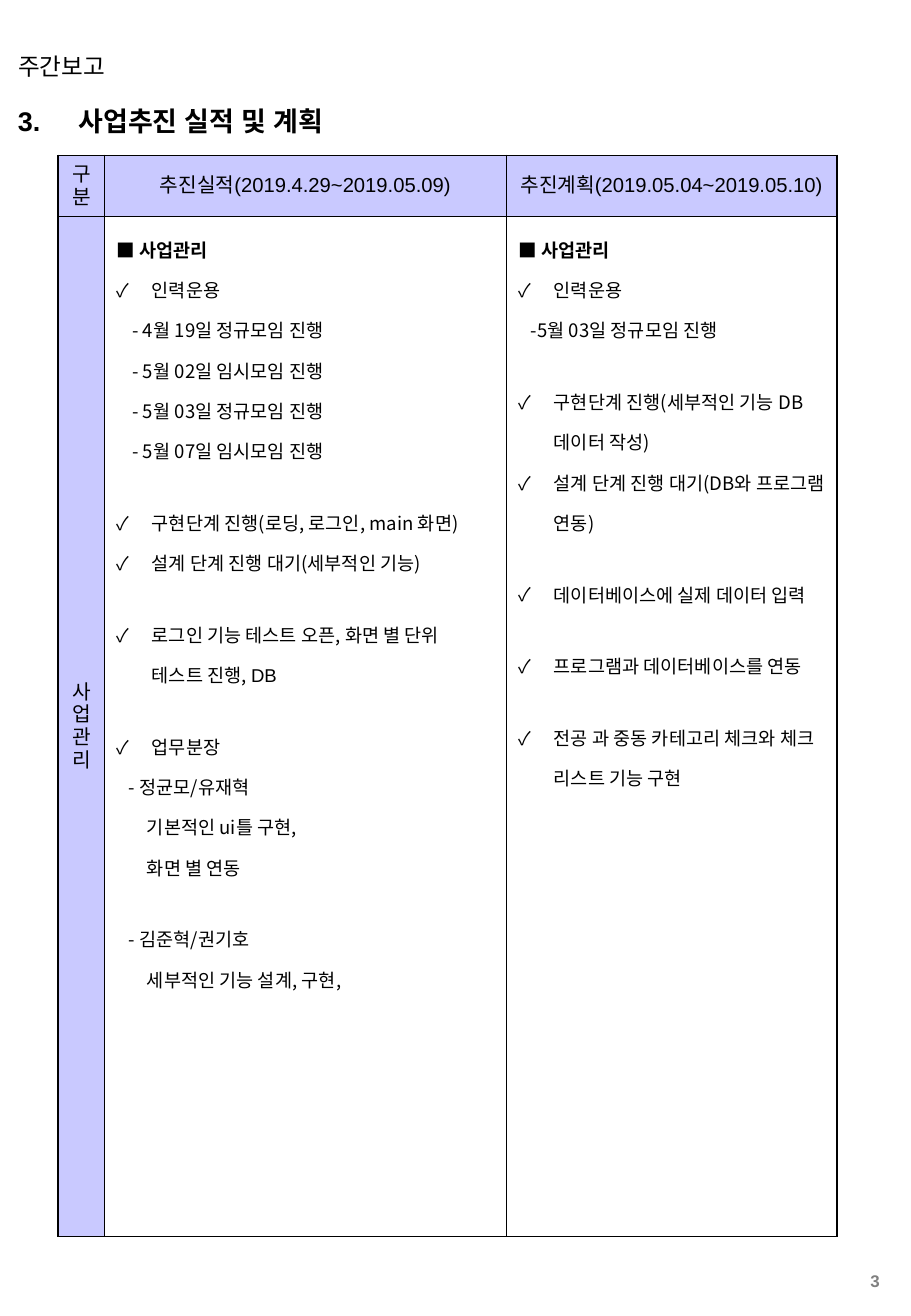
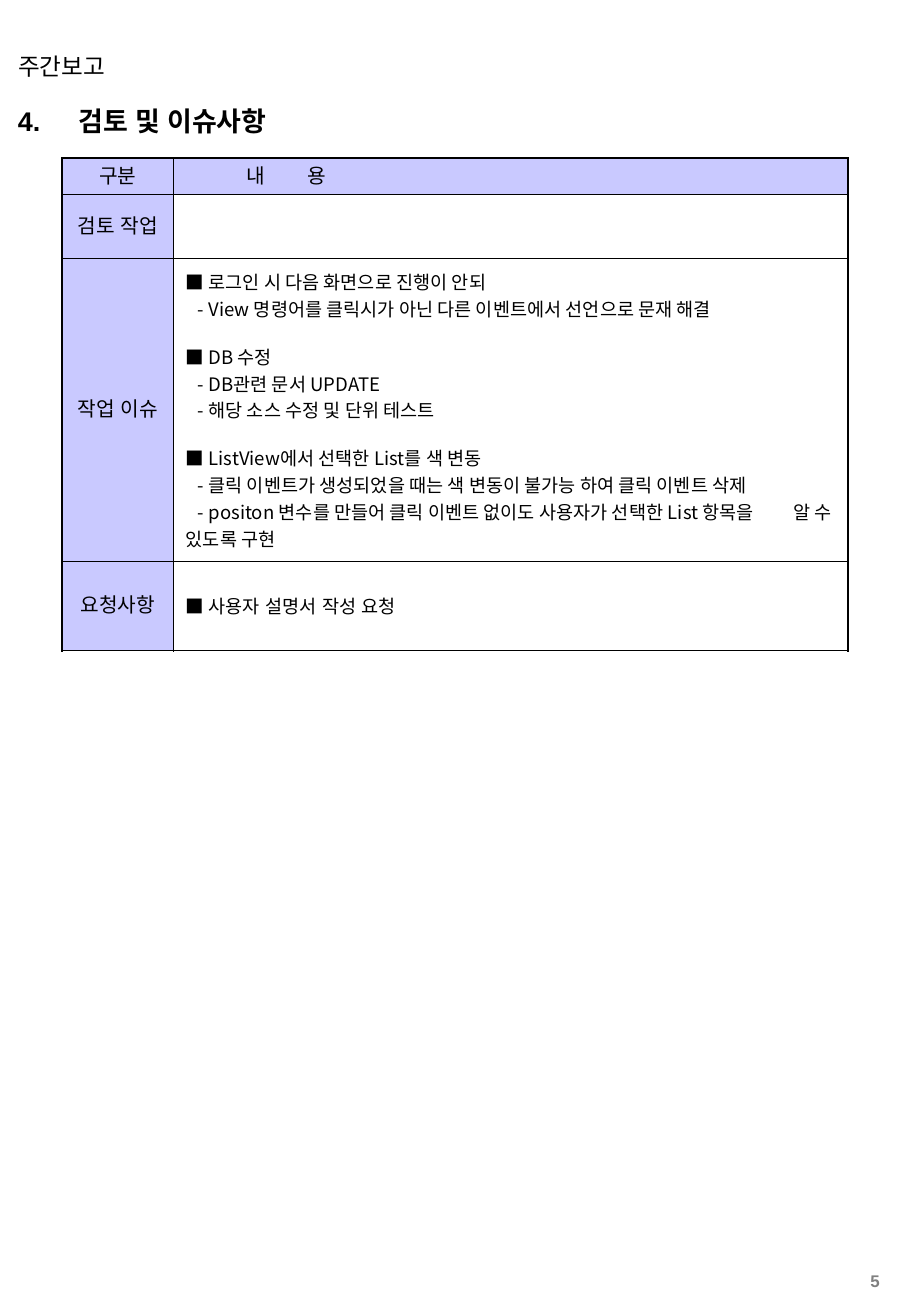
from dataclasses import dataclass
from typing import Any

from lxml.etree import SubElement
from pptx import Presentation
from pptx.dml.color import RGBColor
from pptx.enum.text import MSO_ANCHOR, PP_ALIGN
from pptx.oxml.ns import qn
from pptx.util import Inches, Pt

COLORS = {"ink": "000000", "header": "C9C9FF", "paper": "FFFFFF", "number": "808080"}
ARIAL = "Arial"
NOTO = "Noto Sans CJK KR"
THICK, THIN = 1.08, 0.45


@dataclass(frozen=True)
class Style:
    size: float
    font: str = ARIAL
    color: str = "ink"
    bold: bool = False
    align: Any = PP_ALIGN.LEFT
    line_spacing: float = 1.0


@dataclass(frozen=True)
class Line:
    text: str
    left: float = 0
    first: float = 0
    gap: float = 0
    check: bool = False
    bold: bool = False
    tail: str = ""
    tabs: tuple[float, ...] = ()


@dataclass(frozen=True)
class Cell:
    lines: tuple[Line, ...]
    style: Style
    fill: str = "paper"
    anchor: Any = MSO_ANCHOR.MIDDLE


@dataclass(frozen=True)
class Grid:
    left: float
    top: float
    columns: tuple[float, ...]
    rows: tuple[float, ...]
    cells: tuple[tuple[Cell, ...], ...]
    bottom_border: float


@dataclass(frozen=True)
class Report:
    title: str
    title_tab: float
    number: str
    grid: Grid


RUNNING_HEAD = Style(14)
TITLE = Style(16, bold=True)
PAGE_NUMBER = Style(10, color="number", bold=True, align=PP_ALIGN.RIGHT)
LABEL = Style(12, align=PP_ALIGN.CENTER)
SPACED_LABEL = Style(12)
PLAN = Style(11, NOTO, line_spacing=1.5)
ISSUE = Style(11, NOTO)
PLAN_GAP, ISSUE_GAP = 18.5, 12.5


def label(*texts: str) -> Cell:
    return Cell(tuple(Line(text) for text in texts), LABEL, "header")


def plan(*lines: Line) -> Cell:
    return Cell(lines, PLAN, anchor=MSO_ANCHOR.TOP)


def issues(*lines: Line) -> Cell:
    return Cell(lines, ISSUE)


def heading(text: str) -> Line:
    return Line(text, bold=True)


def check(text: str, gap: float = 0, tail: str = "") -> Line:
    return Line(text, 0.29, -0.29, gap, check=True, tail=tail)


def detail(text: str, left: float = 0.13, gap: float = 0) -> Line:
    return Line(text, left, gap=gap)


def dash(text: str, tabs: tuple[float, ...] = ()) -> Line:
    return Line(text, first=0.1, tabs=tabs)


def apply(target: Any, values: dict[str, Any]) -> None:
    for name, value in values.items():
        setattr(target, name, value)


def add_span(para: Any, text: str, style: Style, font: str, bold: bool) -> None:
    span = para.add_run()
    span.text = text
    apply(span.font, {"size": Pt(style.size), "name": font, "bold": bold})
    span.font.color.rgb = RGBColor.from_string(COLORS[style.color])
    SubElement(span.font._element, qn("a:ea"), typeface=font)


def write_line(para: Any, line: Line, style: Style) -> None:
    properties = para._p.get_or_add_pPr()
    properties.set("marL", str(Inches(line.left)))
    properties.set("indent", str(Inches(line.first)))
    if line.check:
        color = SubElement(properties, qn("a:buClr"))
        SubElement(color, qn("a:srgbClr"), val=COLORS["ink"])
        SubElement(properties, qn("a:buFont"), typeface=NOTO)
        SubElement(properties, qn("a:buChar"), char="✓")
    if line.tabs:
        stops = SubElement(properties, qn("a:tabLst"))
        for position in line.tabs:
            SubElement(stops, qn("a:tab"), pos=str(Inches(position)), algn="l")
    apply(para, {"alignment": style.align, "line_spacing": style.line_spacing})
    if line.gap:
        para.space_before = Pt(line.gap)
    bold = style.bold or line.bold
    add_span(para, line.text, style, style.font, bold)
    if line.tail:
        add_span(para, line.tail, style, ARIAL, bold)


def write_lines(frame: Any, lines: tuple[Line, ...], style: Style) -> None:
    for index, line in enumerate(lines):
        para = frame.add_paragraph() if index else frame.paragraphs[0]
        write_line(para, line, style)


def add_text(page: Any, place: tuple[float, ...], line: Line, style: Style) -> None:
    box = page.shapes.add_textbox(*(Inches(length) for length in place))
    box.text_frame.word_wrap = True
    write_lines(box.text_frame, (line,), style)


def add_border(cell: Any, side: str, width: float) -> None:
    border = SubElement(cell._tc.get_or_add_tcPr(), qn(f"a:ln{side}"), w=str(Pt(width)))
    fill = SubElement(border, qn("a:solidFill"))
    SubElement(fill, qn("a:srgbClr"), val=COLORS["ink"])


def add_grid(page: Any, grid: Grid) -> None:
    last_row, last_column = len(grid.rows) - 1, len(grid.columns) - 1
    frame = page.shapes.add_table(
        last_row + 1, last_column + 1, Inches(grid.left), Inches(grid.top),
        Inches(sum(grid.columns)), Inches(sum(grid.rows)))
    table = frame.table
    apply(table, {"first_row": False, "horz_banding": False})
    for column, width in zip(table.columns, grid.columns):
        column.width = Inches(width)
    for row, height in zip(table.rows, grid.rows):
        row.height = Inches(height)
    for r, contents in enumerate(grid.cells):
        for c, content in enumerate(contents):
            cell = table.cell(r, c)
            borders = {
                "L": THIN if c else THICK,
                "R": THICK if c == last_column else THIN,
                "T": THIN if r else THICK,
                "B": grid.bottom_border if r == last_row else THIN,
            }
            for side, width in borders.items():
                add_border(cell, side, width)
            cell.fill.solid()
            cell.fill.fore_color.rgb = RGBColor.from_string(COLORS[content.fill])
            cell.vertical_anchor = content.anchor
            write_lines(cell.text_frame, content.lines, content.style)


def add_report(deck: Any, report: Report) -> None:
    page = deck.slides.add_slide(deck.slide_layouts[6])
    add_text(page, (6.78, 10.42, 0.56, 0.24), Line(report.number), PAGE_NUMBER)
    add_text(page, (0.05, 0.38, 5.95, 0.34), Line("주간보고"), RUNNING_HEAD)
    add_grid(page, report.grid)
    title = Line(report.title, tabs=(report.title_tab,))
    add_text(page, (0.05, 0.81, 5.36, 0.37), title, TITLE)


PROGRESS = Grid(
    0.48, 1.28, (0.38, 3.31, 2.72), (0.5, 8.4),
    (
        (
            label("구분"),
            label("추진실적(2019.4.29~2019.05.09)"),
            label("추진계획(2019.05.04~2019.05.10)"),
        ),
        (
            label("사업", "관리"),
            plan(
                heading("■ 사업관리"),
                check("인력운용"),
                detail("- 4월 19일 정규모임 진행"),
                detail("- 5월 02일 임시모임 진행"),
                detail("- 5월 03일 정규모임 진행"),
                detail("- 5월 07일 임시모임 진행"),
                check("구현단계 진행(로딩, 로그인, main 화면)", PLAN_GAP),
                check("설계 단계 진행 대기(세부적인 기능)"),
                check("로그인 기능 테스트 오픈, 화면 별 단위 테스트 진행, ", PLAN_GAP, "DB"),
                check("업무분장", PLAN_GAP),
                detail("- 정균모/유재혁", 0.1),
                detail("기본적인 ui틀 구현,", 0.25),
                detail("화면 별 연동", 0.25),
                detail("- 김준혁/권기호", 0.1, PLAN_GAP),
                detail("세부적인 기능 설계, 구현,", 0.25),
            ),
            plan(
                heading("■ 사업관리"),
                check("인력운용"),
                detail("-5월 03일 정규모임 진행", 0.1),
                check("구현단계 진행(세부적인 기능 DB 데이터 작성)", PLAN_GAP),
                check("설계 단계 진행 대기(DB와 프로그램 연동)"),
                check("데이터베이스에 실제 데이터 입력", PLAN_GAP),
                check("프로그램과 데이터베이스를 연동", PLAN_GAP),
                check("전공 과 중동 카테고리 체크와 체크 리스트 기능 구현", PLAN_GAP),
            ),
        ),
    ),
    THIN,
)

REVIEW = Grid(
    0.51, 1.3, (0.92, 5.55), (0.3, 0.53, 2.49, 0.74),
    (
        (
            label("구분"),
            Cell((Line("\t내\t용", tabs=(2.17, 3.02)),), SPACED_LABEL, "header"),
        ),
        (label("검토 작업"), issues()),
        (
            label("작업 이슈"),
            issues(
                Line("■ 로그인 시 다음 화면으로 진행이 안되"),
                dash("- View 명령어를 클릭시가 아닌 다른 이벤트에서 선언으로 문재 해결"),
                Line("■ DB 수정", gap=ISSUE_GAP),
                dash("- DB관련 문서 UPDATE"),
                dash("- 해당 소스 수정 및 단위 테스트"),
                Line("■ ListView에서 선택한 List를 색 변동", gap=ISSUE_GAP),
                dash("- 클릭 이벤트가 생성되었을 때는 색 변동이 불가능 하여 클릭 이벤트 삭제"),
                dash("- positon 변수를 만들어 클릭 이벤트 없이도 사용자가 선택한 List 항목을\t알 수 있도록 구현", (5.13,)),
            ),
        ),
        (label("요청사항"), issues(Line("■ ", tail="사용자 설명서 작성 요청"))),
    ),
    THICK,
)

REPORTS = (
    Report("3.\t사업추진 실적 및 계획", 0.3, "3", PROGRESS),
    Report("4.\t검토 및 이슈사항", 0.36, "5", REVIEW),
)


def main() -> None:
    deck = Presentation()
    apply(deck, {"slide_width": Inches(7.5), "slide_height": Inches(10.84)})
    for report in REPORTS:
        add_report(deck, report)
    deck.save("out.pptx")


if __name__ == "__main__":
    main()
